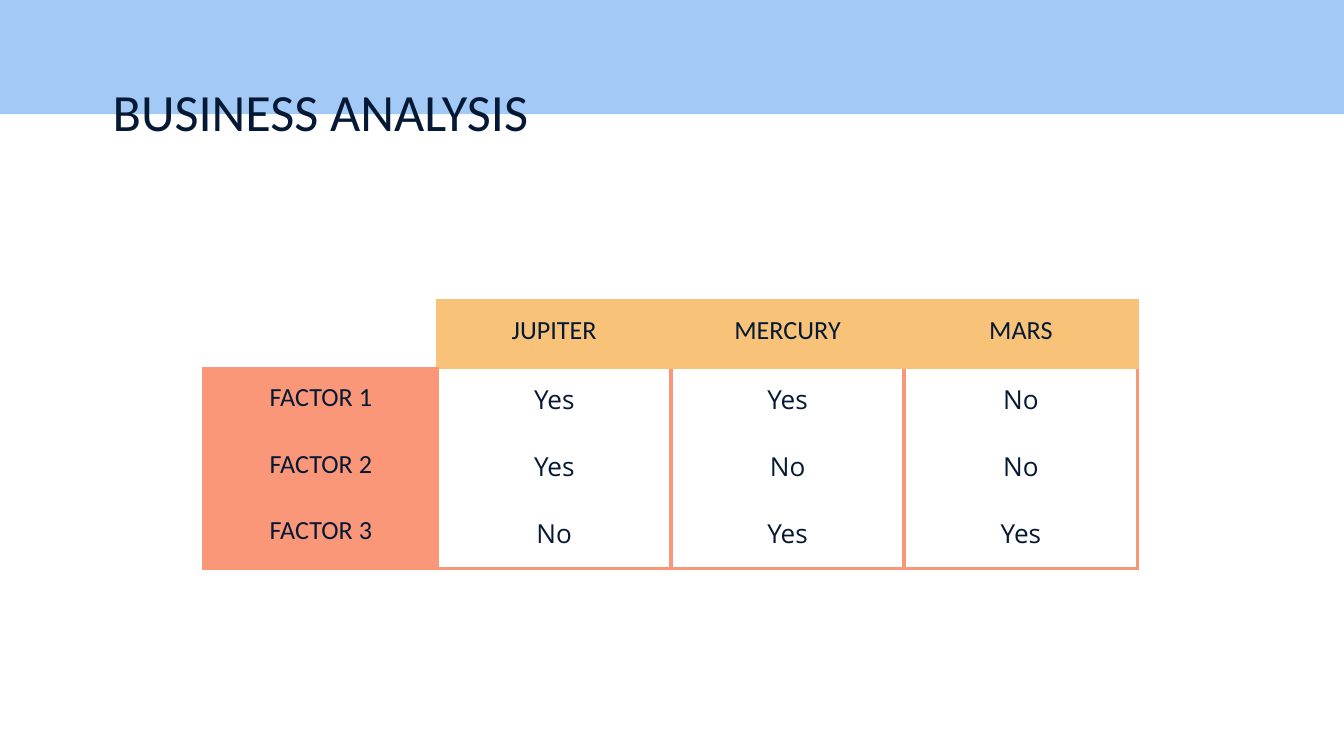
import pptx
import pptx.dml.color
import pptx.enum.shapes
import pptx.enum.text
import pptx.oxml
import pptx.oxml.ns
import pptx.util

Cm = pptx.util.Cm
Pt = pptx.util.Pt

TITLE = "BUSINESS ANALYSIS"
PLANETS = ["JUPITER", "MERCURY", "MARS"]
FACTORS = [
    ("FACTOR 1", ["Yes", "Yes", "No"]),
    ("FACTOR 2", ["Yes", "No", "No"]),
    ("FACTOR 3", ["No", "Yes", "Yes"]),
]
NAVY, BLUE, AMBER, CORAL = "051934", "A3CAF7", "F8C379", "FA9778"
HEADING_FONT, BODY_FONT = "Calibri", "Open Sans"
SLIDE_WIDTH, SLIDE_HEIGHT = Cm(25.4), Cm(14.29)
COLUMN_WIDTH, ROW_HEIGHT = Cm(4.41), Cm(1.26)
INSET = Cm(0.25)


def color(hex_string):
    return pptx.dml.color.RGBColor.from_string(hex_string)


def write(frame, text, font_name, size, align):
    paragraph = frame.paragraphs[0]
    paragraph.alignment = align
    run = paragraph.add_run()
    run.text = text
    run.font.name = font_name
    run.font.size = Pt(size)
    run.font.bold = False
    run.font.color.rgb = color(NAVY)


def set_borders(cell, borders):
    properties = cell._tc.get_or_add_tcPr()
    for side in "LRTB":
        shade = borders.get(side)
        paint = (
            f'<a:solidFill><a:srgbClr val="{shade}"/></a:solidFill>'
            if shade else "<a:noFill/>"
        )
        properties.append(pptx.oxml.parse_xml(
            f'<a:ln{side} {pptx.oxml.ns.nsdecls("a")} w="{Pt(2.25)}">{paint}</a:ln{side}>'
        ))


def cell_look(row, column):
    if row == 0 and column == 0:
        return None, {"R": AMBER, "B": CORAL}
    if row == 0:
        return AMBER, dict.fromkeys("LRT", AMBER)
    if column == 0:
        return CORAL, dict.fromkeys("LRTB", CORAL)
    return None, dict.fromkeys("LRB" if row == len(FACTORS) else "LR", CORAL)


def add_band(slide):
    band = slide.shapes.add_shape(
        pptx.enum.shapes.MSO_SHAPE.RECTANGLE, 0, 0, SLIDE_WIDTH, Cm(2.16)
    )
    band.shadow.inherit = False
    band.fill.solid()
    band.fill.fore_color.rgb = color(BLUE)
    band.line.fill.background()
    slide.shapes._spTree.insert(2, band._element)


def add_title(slide):
    title = slide.shapes.title
    title.left, title.top, title.width, title.height = Cm(1.88), Cm(1.24), Cm(19.63), Cm(1.6)
    frame = title.text_frame
    frame.margin_left = frame.margin_right = frame.margin_top = frame.margin_bottom = INSET
    frame.vertical_anchor = pptx.enum.text.MSO_ANCHOR.TOP
    frame.word_wrap = True
    frame.auto_size = pptx.enum.text.MSO_AUTO_SIZE.NONE
    write(frame, TITLE, HEADING_FONT, 28, pptx.enum.text.PP_ALIGN.LEFT)


def add_comparison(slide):
    rows = [["", *PLANETS]] + [[factor, *answers] for factor, answers in FACTORS]
    comparison = slide.shapes.add_table(
        len(rows), len(rows[0]), Cm(3.86), Cm(5.69),
        COLUMN_WIDTH * len(rows[0]), ROW_HEIGHT * len(rows),
    ).table
    comparison.first_row = comparison.horz_banding = False
    for column in comparison.columns:
        column.width = COLUMN_WIDTH
    for r, texts in enumerate(rows):
        comparison.rows[r].height = ROW_HEIGHT
        for c, text in enumerate(texts):
            cell = comparison.cell(r, c)
            fill, borders = cell_look(r, c)
            set_borders(cell, borders)
            if fill:
                cell.fill.solid()
                cell.fill.fore_color.rgb = color(fill)
            else:
                cell.fill.background()
            cell.margin_left = cell.margin_right = cell.margin_top = cell.margin_bottom = INSET
            cell.vertical_anchor = pptx.enum.text.MSO_ANCHOR.TOP
            if text:
                font_name = BODY_FONT if r and c else HEADING_FONT
                write(cell.text_frame, text, font_name, 14, pptx.enum.text.PP_ALIGN.CENTER)


def main():
    deck = pptx.Presentation()
    deck.slide_width, deck.slide_height = SLIDE_WIDTH, SLIDE_HEIGHT
    slide = deck.slides.add_slide(deck.slide_layouts[5])
    add_band(slide)
    add_title(slide)
    add_comparison(slide)
    deck.save("out.pptx")


if __name__ == "__main__":
    main()
